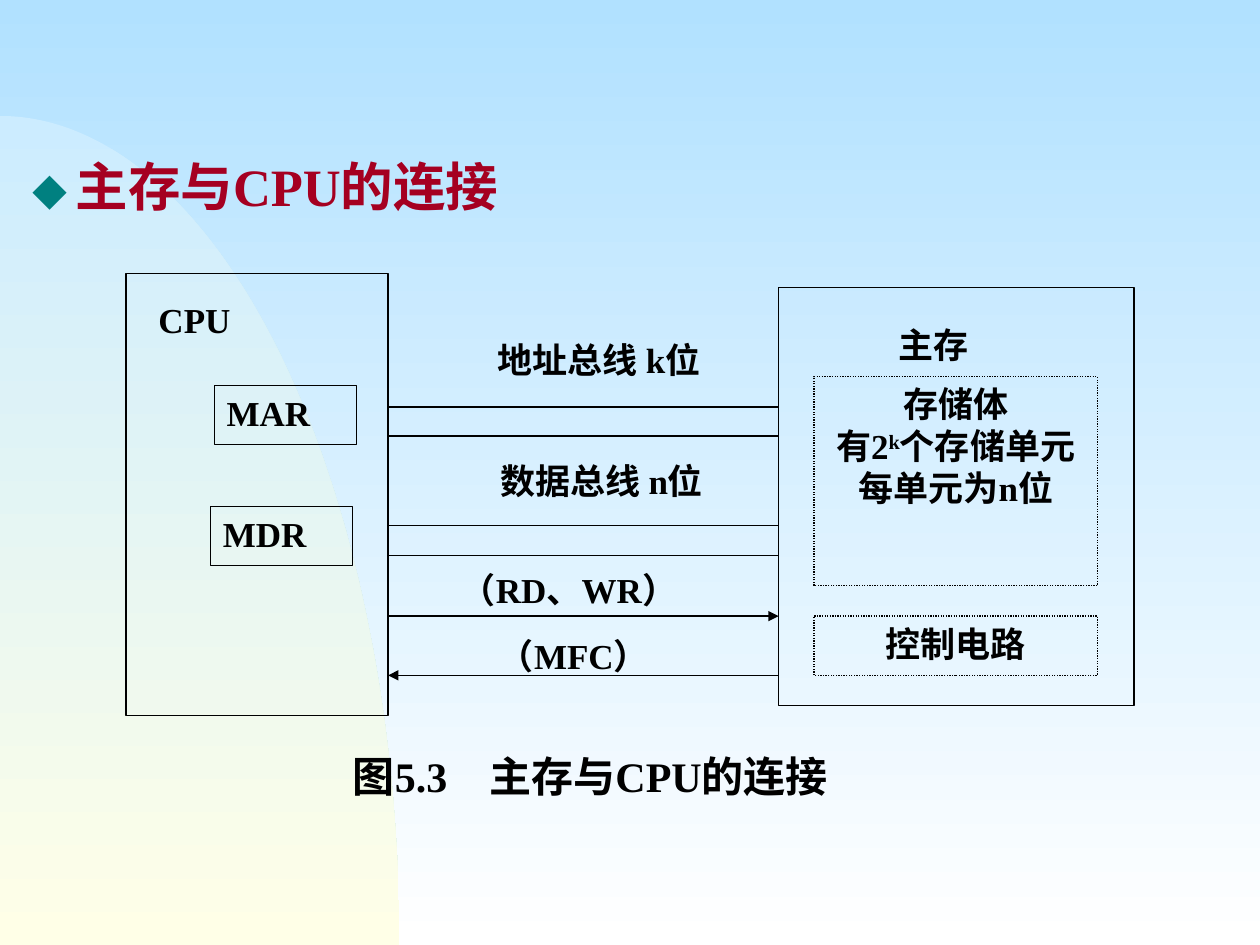
import math

import pptx
import pptx.dml.color
import pptx.enum.dml
import pptx.enum.shapes
import pptx.enum.text
import pptx.oxml
import pptx.oxml.ns
import pptx.util
from pptx.util import Inches

FONT = "Times New Roman"
BLACK = "000000"
ALIGN = pptx.enum.text.PP_ALIGN
BUS_LEFT, BUS_RIGHT = 3.08, 6.18


def rgb(value):
    """Turn a hex string into a colour."""
    return pptx.dml.color.RGBColor.from_string(value)


def set_gradient(fill, top, bottom):
    """Fill from one colour at the top to another at the bottom."""
    fill.gradient()
    fill.gradient_angle = 270
    for stop, color in zip(fill.gradient_stops, (top, bottom)):
        stop.color.rgb = rgb(color)


def add_run(p, text, size=20, color=BLACK, raised=False):
    """Append a bold run to a paragraph."""
    r = p.add_run()
    r.text = text
    r.font.name = FONT
    r.font.size = pptx.util.Pt(size)
    r.font.bold = True
    r.font.color.rgb = rgb(color)
    if raised:
        r.font._element.set("baseline", "30000")


def write(sp, paragraphs, align):
    """Write paragraphs, each a list of run arguments, from the top of a shape."""
    tf = sp.text_frame
    tf.word_wrap = True
    tf.vertical_anchor = pptx.enum.text.MSO_ANCHOR.TOP
    for i, runs in enumerate(paragraphs):
        p = tf.add_paragraph() if i else tf.paragraphs[0]
        p.alignment = align
        for run in runs:
            add_run(p, *run)


def add_label(s, box, runs, align=ALIGN.CENTER):
    """Add a one-paragraph text box."""
    write(s.shapes.add_textbox(*map(Inches, box)), [runs], align)


def add_box(s, box, paragraphs=(), align=ALIGN.CENTER, dotted=False):
    """Add an unfilled, outlined rectangle with optional text."""
    sp = s.shapes.add_shape(pptx.enum.shapes.MSO_SHAPE.RECTANGLE, *map(Inches, box))
    sp.shadow.inherit = False
    sp.fill.background()
    sp.line.color.rgb = rgb(BLACK)
    sp.line.width = pptx.util.Pt(0.75)
    if dotted:
        sp.line.dash_style = pptx.enum.dml.MSO_LINE.ROUND_DOT
    write(sp, paragraphs, align)


def add_line(s, y, start=BUS_LEFT, end=BUS_RIGHT, arrow=False):
    """Add a horizontal line between the CPU and the memory."""
    sp = s.shapes.add_connector(pptx.enum.shapes.MSO_CONNECTOR.STRAIGHT,
                                Inches(start), Inches(y), Inches(end), Inches(y))
    sp.line.color.rgb = rgb(BLACK)
    sp.line.width = pptx.util.Pt(0.75)
    if arrow:
        tail = pptx.oxml.parse_xml(
            f'<a:tailEnd {pptx.oxml.ns.nsdecls("a")} type="triangle"/>')
        sp.line._get_or_add_ln().append(tail)
    sp._element.spPr.append(
        pptx.oxml.parse_xml(f'<a:effectLst {pptx.oxml.ns.nsdecls("a")}/>'))


def add_quarter_ellipse(s, width=3.17, height=6.58, bottom=7.5, steps=90):
    """Add the pale quarter ellipse in the lower left corner."""
    angles = [math.pi / 2 * i / steps for i in range(steps + 1)]
    points = [(Inches(width * math.sin(a)), Inches(bottom - height * math.cos(a)))
              for a in angles]
    builder = s.shapes.build_freeform(0, Inches(bottom))
    builder.add_line_segments(points, close=True)
    sp = builder.convert_to_shape()
    sp.shadow.inherit = False
    set_gradient(sp.fill, "CCECFF", "FFFFE7")
    sp.line.fill.background()


def add_cpu(s):
    """Add the CPU with its two registers."""
    add_box(s, (1, 2.17, 2.08, 3.51))
    add_label(s, (1.16, 2.32, 1.13, 0.47), [("CPU",)], ALIGN.JUSTIFY)
    for name, x, y in (("MAR", 1.7, 3.06), ("MDR", 1.67, 4.02)):
        add_box(s, (x, y, 1.13, 0.47), [[(name,)]], ALIGN.JUSTIFY)


def add_memory(s):
    """Add the main memory with its storage and control parts."""
    add_box(s, (BUS_RIGHT, 2.28, 2.82, 3.32))
    add_label(s, (7.03, 2.52, 1.13, 0.47), [("主存",)], ALIGN.JUSTIFY)
    storage = [[("存储体",)],
               [("有2",), ("k", 20, BLACK, True), ("个存储单元",)],
               [("每单元为n位",)]]
    add_box(s, (6.46, 2.99, 2.25, 1.66), storage, dotted=True)
    add_box(s, (6.46, 4.89, 2.25, 0.47), [[("控制电路",)]], dotted=True)


def add_buses(s):
    """Add the bus lines, the control arrows and their labels."""
    for y in (3.23, 3.46, 4.17, 4.41):
        add_line(s, y)
    add_line(s, 4.89, arrow=True)
    add_line(s, 5.36, BUS_RIGHT, BUS_LEFT, arrow=True)
    for text, x, y, height in (("地址总线 k位", 3.43, 2.64, 0.51),
                               ("数据总线 n位", 3.45, 3.6, 0.51),
                               ("（RD、WR）", 3.19, 4.46, 0.47),
                               ("（MFC）", 3.23, 4.99, 0.47)):
        add_label(s, (x, y, 2.65, height), [(text,)])


def main():
    """Build the slide and save it."""
    prs = pptx.Presentation()
    prs.slide_width, prs.slide_height = Inches(10), Inches(7.5)
    s = prs.slides.add_slide(prs.slide_layouts[6])
    set_gradient(s.background.fill, "B1E1FF", "FFFFFF")
    add_quarter_ellipse(s)
    add_label(s, (0.16, 1.17, 5.51, 0.6),
              [("◆ ", 20, "008080"), ("主存与CPU的连接", 30, "A50021")], ALIGN.LEFT)
    add_cpu(s)
    add_memory(s)
    add_buses(s)
    add_label(s, (2.53, 5.91, 4.31, 0.51), [("图5.3　主存与CPU的连接", 24)])
    prs.save("out.pptx")


if __name__ == "__main__":
    main()
